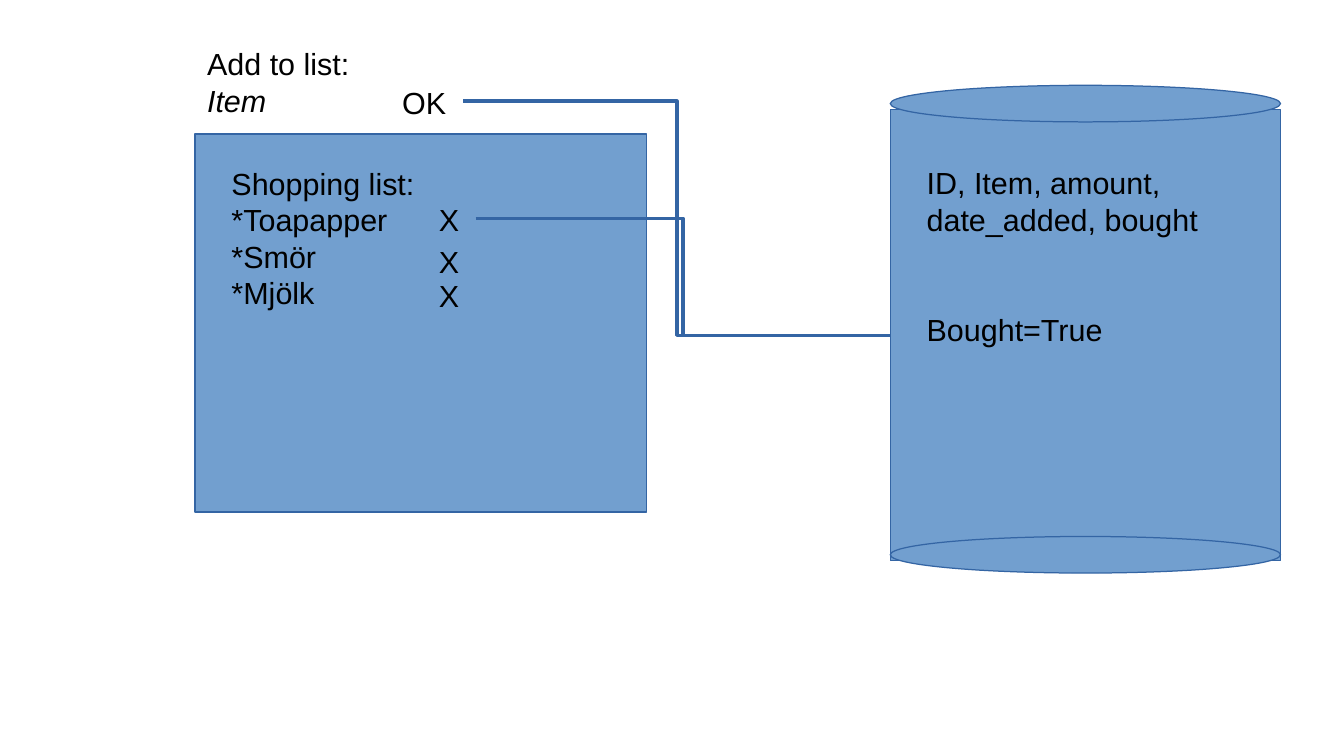
import pptx
import pptx.dml.color
import pptx.enum.shapes
import pptx.oxml.ns
import pptx.util
from dataclasses import dataclass
from lxml import etree

Inches = pptx.util.Inches
SHAPES = pptx.enum.shapes.MSO_SHAPE


@dataclass(frozen=True)
class Theme:
    fill: str = "729FCF"
    line: str = "3465A4"
    text: str = "000000"
    font: str = "Arial"
    size: int = 18
    line_width: int = 0


THEME = Theme()
SLIDE_SIZE = (11.02, 6.2)

# Boxes are left, top, width, height in inches.
DATABASE_BODY = (7.3, 0.9, 3.2, 3.7)
LIST_PANEL = (1.6, 1.1, 3.7, 3.1)
CAP_HEIGHT = 0.3

TEXTS = {
    "shopping list": ((1.8, 1.3, 2.2, 1.22),
                      ["Shopping list:", "*Toapapper", "*Smör", "*Mjölk"]),
    "add to list": ((1.6, 0.32, 3.4, 0.66), ["Add to list:", "Item"]),
    "ok": ((3.2, 0.64, 0.6, 0.38), ["OK"]),
    "columns": ((7.5, 1.3, 2.9, 0.66), ["ID, Item, amount, date_added, bought"]),
    "remove first": ((3.5, 1.6, 0.4, 0.38), ["X"]),
    "remove second": ((3.5, 1.94, 0.5, 0.58), ["X"]),
    "remove third": ((3.5, 2.22, 0.5, 0.58), ["X"]),
    "update": ((7.5, 2.5, 2.6, 0.38), ["Bought=True"]),
}
ITALIC_LINES = {"Item"}
DATABASE_WRITERS = ["ok", "remove first"]


def color(code):
    return pptx.dml.color.RGBColor.from_string(code)


def style_line(line):
    line.color.rgb = color(THEME.line)
    line.width = pptx.util.Pt(THEME.line_width)


def add_block(slide, kind, box):
    shape = slide.shapes.add_shape(kind, *map(Inches, box))
    shape.shadow.inherit = False
    shape.fill.solid()
    shape.fill.fore_color.rgb = color(THEME.fill)
    style_line(shape.line)
    return shape


def add_text(slide, box, lines):
    shape = slide.shapes.add_textbox(*map(Inches, box))
    frame = shape.text_frame
    frame.word_wrap = True
    frame.text = "\n".join(lines)
    for paragraph in frame.paragraphs:
        for run in paragraph.runs:
            run.font.name = THEME.font
            run.font.size = pptx.util.Pt(THEME.size)
            run.font.color.rgb = color(THEME.text)
            if run.text in ITALIC_LINES:
                run.font.italic = True
    return shape


def connect(slide, source, target):
    """Join the right side of source to the left side of target."""
    connector = slide.shapes.add_connector(
        pptx.enum.shapes.MSO_CONNECTOR.ELBOW, 0, 0, 0, 0)
    connector.begin_connect(source, 3)
    connector.end_connect(target, 1)
    style_line(connector.line)
    etree.SubElement(connector._element.spPr, pptx.oxml.ns.qn("a:effectLst"))


def main():
    presentation = pptx.Presentation()
    presentation.slide_width, presentation.slide_height = map(Inches, SLIDE_SIZE)
    slide = presentation.slides.add_slide(presentation.slide_layouts[6])

    database = add_block(slide, SHAPES.RECTANGLE, DATABASE_BODY)
    add_block(slide, SHAPES.RECTANGLE, LIST_PANEL)

    left, top, width, height = DATABASE_BODY
    for cap_top in (top - 0.2, top + height - 0.2):
        add_block(slide, SHAPES.OVAL, (left, cap_top, width, CAP_HEIGHT))

    labels = {name: add_text(slide, box, lines)
              for name, (box, lines) in TEXTS.items()}
    for name in DATABASE_WRITERS:
        connect(slide, labels[name], database)

    presentation.save("out.pptx")


if __name__ == "__main__":
    main()
